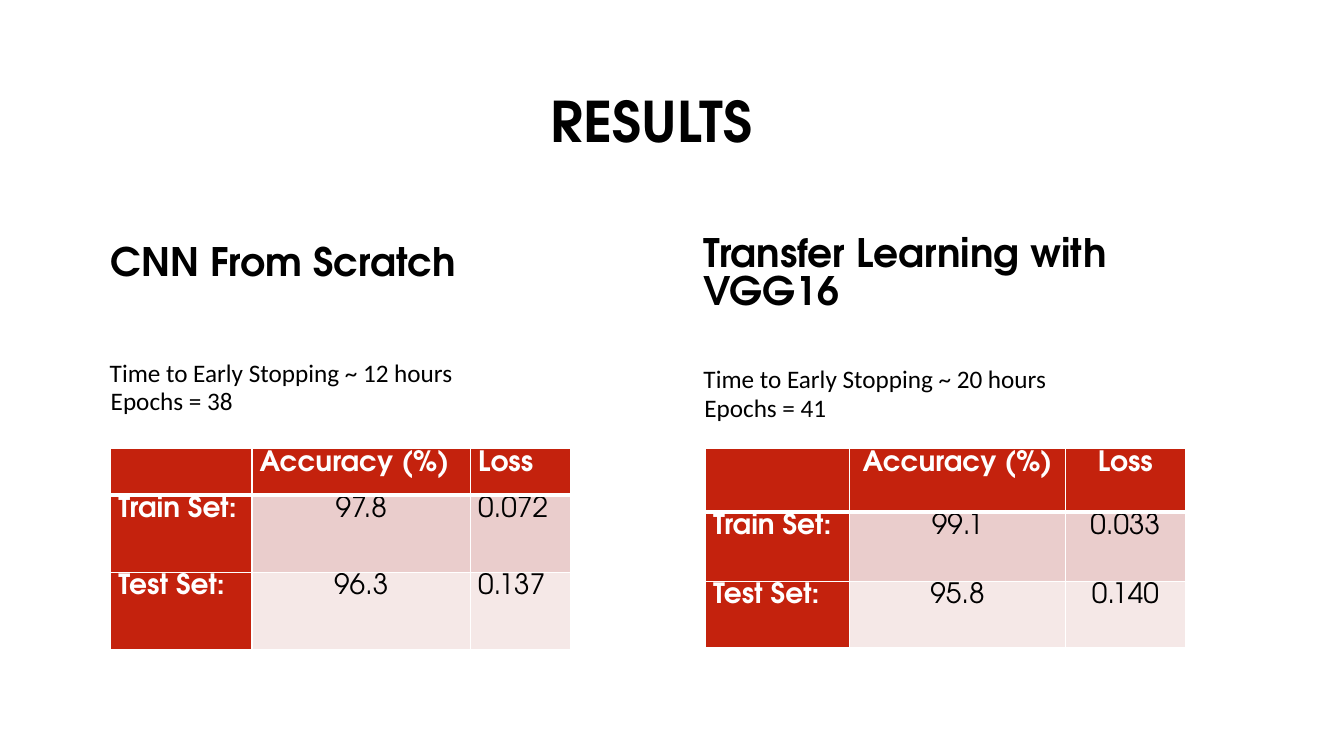
from lxml import etree
from pptx import Presentation
from pptx.dml.color import RGBColor
from pptx.enum.text import MSO_ANCHOR, MSO_AUTO_SIZE, PP_ALIGN
from pptx.oxml.ns import qn
from pptx.util import Pt

LEFT, CENTER = PP_ALIGN.LEFT, PP_ALIGN.CENTER
TOP, MIDDLE, BOTTOM = MSO_ANCHOR.TOP, MSO_ANCHOR.MIDDLE, MSO_ANCHOR.BOTTOM
NO_AUTOFIT = MSO_AUTO_SIZE.NONE

COLORS = {"text": "000000", "white": "FFFFFF", "red": "C4220D",
          "train": "EACDCC", "test": "F5E8E7"}
DISPLAY, BODY = "TeX Gyre Adventor", "Calibri"


def write(frame, text, size, font=DISPLAY, bold=True, color="text",
          align=LEFT, anchor=TOP, spacing=1.0, before=0):
    frame.vertical_anchor = anchor
    paragraph = frame.paragraphs[0]
    paragraph.text = text
    paragraph.alignment = align
    paragraph.line_spacing = spacing
    paragraph.space_before = Pt(before)
    paragraph.font.name = font
    paragraph.font.size = Pt(size)
    paragraph.font.bold = bold
    paragraph.font.color.rgb = RGBColor.from_string(COLORS[color])


def add_borders(cell, top, bottom):
    """Draw white borders; must run before the cell gets its fill."""
    properties = cell._tc.get_or_add_tcPr()
    for side, width in (("L", 1), ("R", 1), ("T", top), ("B", bottom)):
        line = etree.SubElement(properties, qn(f"a:ln{side}"), w=str(Pt(width)))
        fill = etree.SubElement(line, qn("a:solidFill"))
        etree.SubElement(fill, qn("a:srgbClr"), val=COLORS["white"])


prs = Presentation()
prs.slide_width, prs.slide_height = Pt(960), Pt(540)
slide = prs.slides.add_slide(prs.slide_layouts[5])

title = slide.shapes.title
title.left, title.top, title.width, title.height = Pt(79), Pt(38), Pt(773), Pt(102)
title.text_frame.auto_size = NO_AUTOFIT
write(title.text_frame, "RESULTS", 40, align=CENTER, anchor=MIDDLE, spacing=0.9)

models = [
    {
        "heading": "CNN From Scratch",
        "heading_box": (72, 160.5, 400, 46),
        "notes": [("Time to Early Stopping ~ 12 hours", 71.3, 252),
                  ("Epochs = 38", 72, 271.5)],
        "scores": [("97.8", "0.072"), ("96.3", "0.137")],
        "table_left": 79.2,
        "columns": (100.8, 156.2, 71.3),
        "rows": (33, 55.4, 55.4),
        "header_align": LEFT,
        "loss_align": LEFT,
    },
    {
        "heading": "Transfer Learning with VGG16",
        "heading_box": (495.4, 162, 402, 65),
        "notes": [("Time to Early Stopping ~ 20 hours", 495.4, 255.6),
                  ("Epochs = 41", 496, 277)],
        "scores": [("99.1", "0.033"), ("95.8", "0.140")],
        "table_left": 504,
        "columns": (103, 154, 85.7),
        "rows": (45.4, 49.5, 47.5),
        "header_align": CENTER,
        "loss_align": CENTER,
    },
]

for model in models:
    heading = slide.shapes.add_textbox(*map(Pt, model["heading_box"])).text_frame
    heading.word_wrap = True
    write(heading, model["heading"], 28, anchor=BOTTOM, spacing=0.8, before=10)

    for note, left, top in model["notes"]:
        note_frame = slide.shapes.add_textbox(Pt(left), Pt(top), Pt(262), Pt(29)).text_frame
        note_frame.word_wrap = False
        write(note_frame, note, 18, font=BODY, bold=False)

    columns, rows = model["columns"], model["rows"]
    results = slide.shapes.add_table(
        len(rows), len(columns), Pt(model["table_left"]), Pt(320.4),
        Pt(sum(columns)), Pt(sum(rows))).table
    results.first_row = results.horz_banding = False
    for column, width in zip(results.columns, columns):
        column.width = Pt(width)
    for row, height in zip(results.rows, rows):
        row.height = Pt(height)

    train, test = model["scores"]
    table_text = [("", "Accuracy (%)", "Loss"),
                  ("Train Set:", *train),
                  ("Test Set:", *test)]
    score_aligns = (LEFT, CENTER, model["loss_align"])
    for r, row_text in enumerate(table_text):
        for c, text in enumerate(row_text):
            cell = results.cell(r, c)
            is_label = r == 0 or c == 0
            add_borders(cell, top=3 if r == 1 else 1, bottom=3 if r == 0 else 1)
            cell.fill.solid()
            fill = "red" if is_label else ("train", "test")[r - 1]
            cell.fill.fore_color.rgb = RGBColor.from_string(COLORS[fill])
            cell.margin_left = cell.margin_right = Pt(5.4)
            cell.margin_top = cell.margin_bottom = 0
            if text:
                write(cell.text_frame, text, 20, bold=is_label,
                      color="white" if is_label else "text",
                      align=model["header_align"] if r == 0 else score_aligns[c],
                      spacing=1.07)

prs.save("out.pptx")
